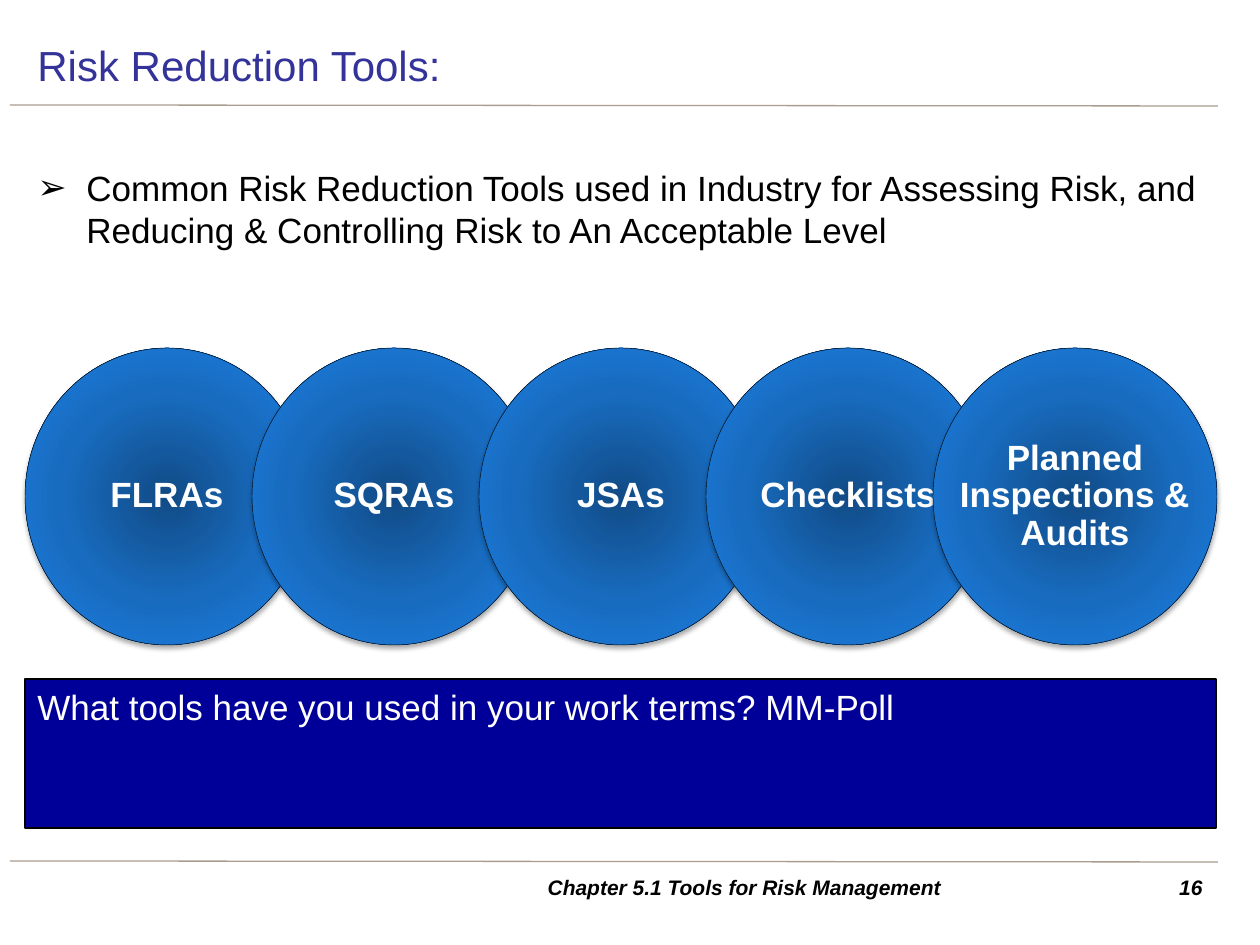
from dataclasses import dataclass

from lxml.etree import SubElement
from pptx import Presentation
from pptx.dml.color import RGBColor
from pptx.enum.shapes import MSO_CONNECTOR, MSO_SHAPE
from pptx.enum.text import MSO_ANCHOR, PP_ALIGN
from pptx.oxml import parse_xml
from pptx.oxml.ns import nsdecls, qn
from pptx.util import Emu, Pt

EMU_PER_PX = 914400 / 126


@dataclass(frozen=True)
class Theme:
    font: str = "Arial"
    title: str = "333399"
    text: str = "000000"
    light: str = "FFFFFF"
    banner: str = "000099"
    rule: str = "AA9C8F"
    outline: str = "000000"
    gradient: tuple[str, ...] = ("114B86", "186BBE", "1C7FE2")
    title_size: int = 24
    body_size: int = 20
    footer_size: int = 12


@dataclass(frozen=True)
class Box:
    left: int
    top: int
    width: int
    height: int

    def emu(self) -> list[Emu]:
        return [px(v) for v in (self.left, self.top, self.width, self.height)]


@dataclass(frozen=True)
class Label:
    lines: tuple[str, ...]
    size: int
    color: str
    bold: bool = False
    italic: bool = False
    align: PP_ALIGN = PP_ALIGN.LEFT
    anchor: MSO_ANCHOR = MSO_ANCHOR.TOP
    wrap: bool = True


THEME = Theme()
TOOLS = (
    ("FLRAs",),
    ("SQRAs",),
    ("JSAs",),
    ("Checklists",),
    ("Planned", "Inspections &", "Audits"),
)
FIRST_CIRCLE = Box(25, 348, 284, 297)
CIRCLE_PITCH = 227
RULE_TOPS = (105, 861)


def px(value: int) -> Emu:
    return Emu(round(value * EMU_PER_PX))


def write(s, label: Label):
    """Put the label in the shape as one paragraph and return the paragraph."""
    tf = s.text_frame
    tf.word_wrap = label.wrap
    tf.vertical_anchor = label.anchor
    p = tf.paragraphs[0]
    p.alignment = label.align
    for i, line in enumerate(label.lines):
        if i:
            p.add_line_break()
        r = p.add_run()
        r.text = line
        f = r.font
        f.name, f.size = THEME.font, Pt(label.size)
        f.bold, f.italic = label.bold, label.italic
        f.color.rgb = RGBColor.from_string(label.color)
    return p


def add_text(slide, box: Box, label: Label):
    s = slide.shapes.add_textbox(*box.emu())
    write(s, label)
    return s


def add_rule(slide, top: int) -> None:
    s = slide.shapes.add_connector(
        MSO_CONNECTOR.STRAIGHT, px(10), px(top), px(1218), px(top + 1))
    s.line.color.rgb = RGBColor.from_string(THEME.rule)
    s.line.width = Pt(0.75)
    SubElement(s._element.spPr, qn("a:effectLst"))


def add_outlined(slide, kind: MSO_SHAPE, box: Box, line_width: float):
    s = slide.shapes.add_shape(kind, *box.emu())
    s.shadow.inherit = False
    s.line.color.rgb = RGBColor.from_string(THEME.outline)
    s.line.width = Pt(line_width)
    return s


def add_bullet_body(slide, box: Box, label: Label) -> None:
    s = add_text(slide, box, label)
    s.text_frame.margin_top = px(51)
    pPr = s.text_frame.paragraphs[0]._p.get_or_add_pPr()
    pPr.set("marL", str(px(49)))
    pPr.set("indent", str(px(-49)))
    SubElement(pPr, qn("a:buFont"), typeface=THEME.font)
    SubElement(pPr, qn("a:buChar"), char="➢")


def add_banner(slide, box: Box, label: Label) -> None:
    s = add_outlined(slide, MSO_SHAPE.RECTANGLE, box, 0.75)
    s.fill.solid()
    s.fill.fore_color.rgb = RGBColor.from_string(THEME.banner)
    write(s, label)


def add_circle(slide, box: Box, label: Label) -> None:
    """Add a circle with a radial gradient and a soft shadow below."""
    s = add_outlined(slide, MSO_SHAPE.OVAL, box, 0.25)
    spPr = s._element.spPr
    stops = "".join(
        f'<a:gs pos="{i * 50000}"><a:srgbClr val="{c}"/></a:gs>'
        for i, c in enumerate(THEME.gradient))
    spPr.find(qn("a:prstGeom")).addnext(parse_xml(
        f'<a:gradFill {nsdecls("a")} rotWithShape="1"><a:gsLst>{stops}</a:gsLst>'
        '<a:path path="circle"><a:fillToRect l="50000" t="50000" r="50000" b="50000"/>'
        '</a:path></a:gradFill>'))
    spPr.find(qn("a:effectLst")).append(parse_xml(
        f'<a:outerShdw {nsdecls("a")} blurRad="{Pt(3.1)}" dist="{Pt(1.8)}" dir="5400000"'
        ' rotWithShape="0"><a:srgbClr val="000000"><a:alpha val="35000"/></a:srgbClr>'
        '</a:outerShdw>'))
    p = write(s, label)
    p.line_spacing = 0.9


def main() -> None:
    prs = Presentation()
    prs.slide_width, prs.slide_height = px(1260), px(945)
    slide = prs.slides.add_slide(prs.slide_layouts[6])

    for top in RULE_TOPS:
        add_rule(slide, top)

    add_bullet_body(slide, Box(25, 115, 1191, 735), Label(
        ("Common Risk Reduction Tools used in Industry for Assessing Risk, and "
         "Reducing & Controlling Risk to An Acceptable Level",),
        THEME.body_size, THEME.text))
    add_text(slide, Box(25, 30, 1191, 69), Label(
        ("Risk Reduction Tools:",), THEME.title_size, THEME.title,
        anchor=MSO_ANCHOR.MIDDLE))
    add_text(slide, Box(1142, 868, 73, 39), Label(
        ("16",), THEME.footer_size, THEME.text, True, True, PP_ALIGN.RIGHT))
    add_text(slide, Box(372, 868, 745, 39), Label(
        ("Chapter 5.1 Tools for Risk Management",), THEME.footer_size, THEME.text,
        True, True, PP_ALIGN.CENTER, MSO_ANCHOR.MIDDLE))
    add_banner(slide, Box(25, 679, 1191, 149), Label(
        ("What tools have you used in your work terms? MM-Poll",),
        THEME.body_size, THEME.light))

    c = FIRST_CIRCLE
    for i, lines in enumerate(TOOLS):
        box = Box(c.left + i * CIRCLE_PITCH, c.top, c.width, c.height)
        add_circle(slide, box, Label(
            lines, THEME.body_size, THEME.light, bold=True,
            align=PP_ALIGN.CENTER, anchor=MSO_ANCHOR.MIDDLE, wrap=False))

    prs.save("out.pptx")


if __name__ == "__main__":
    main()
